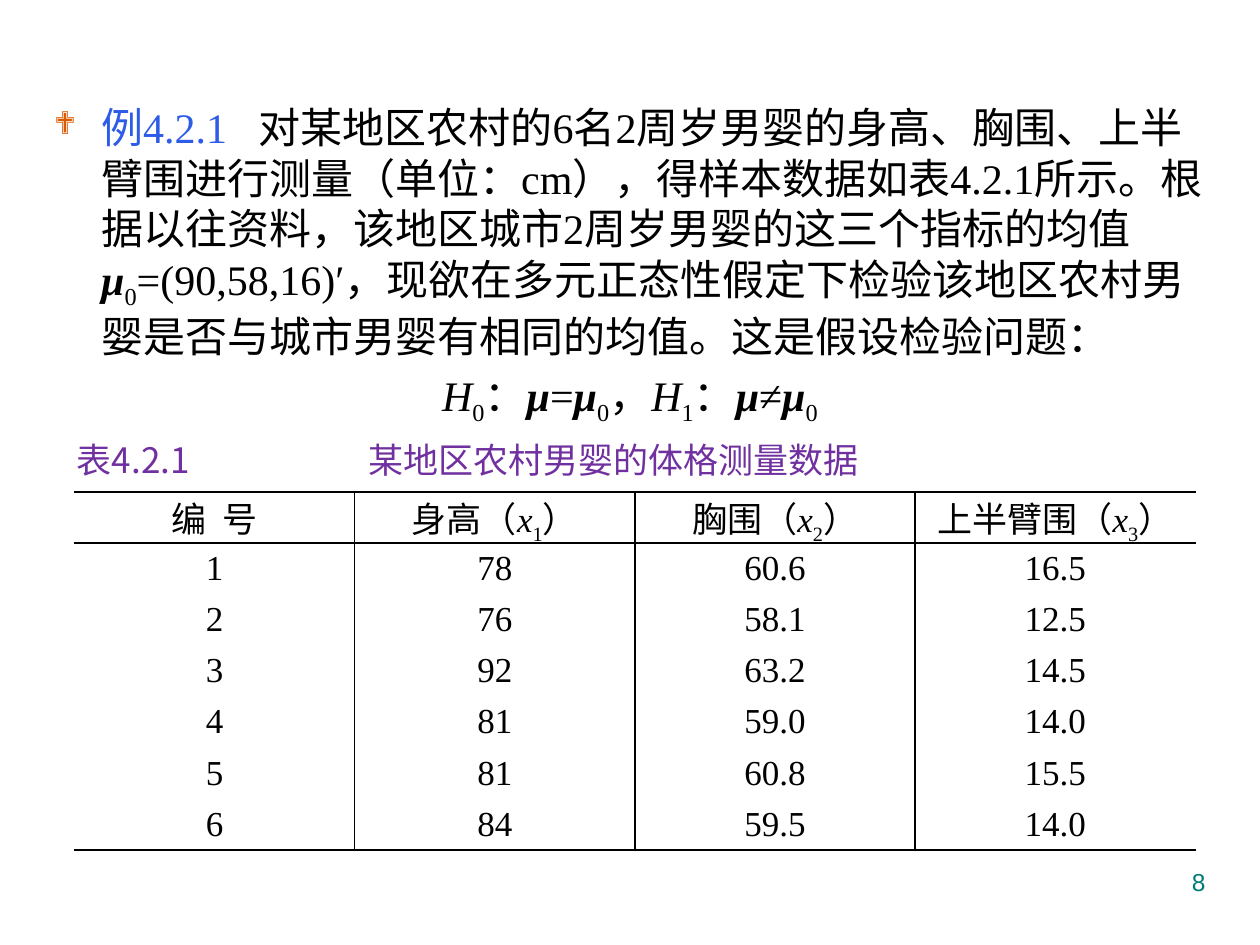
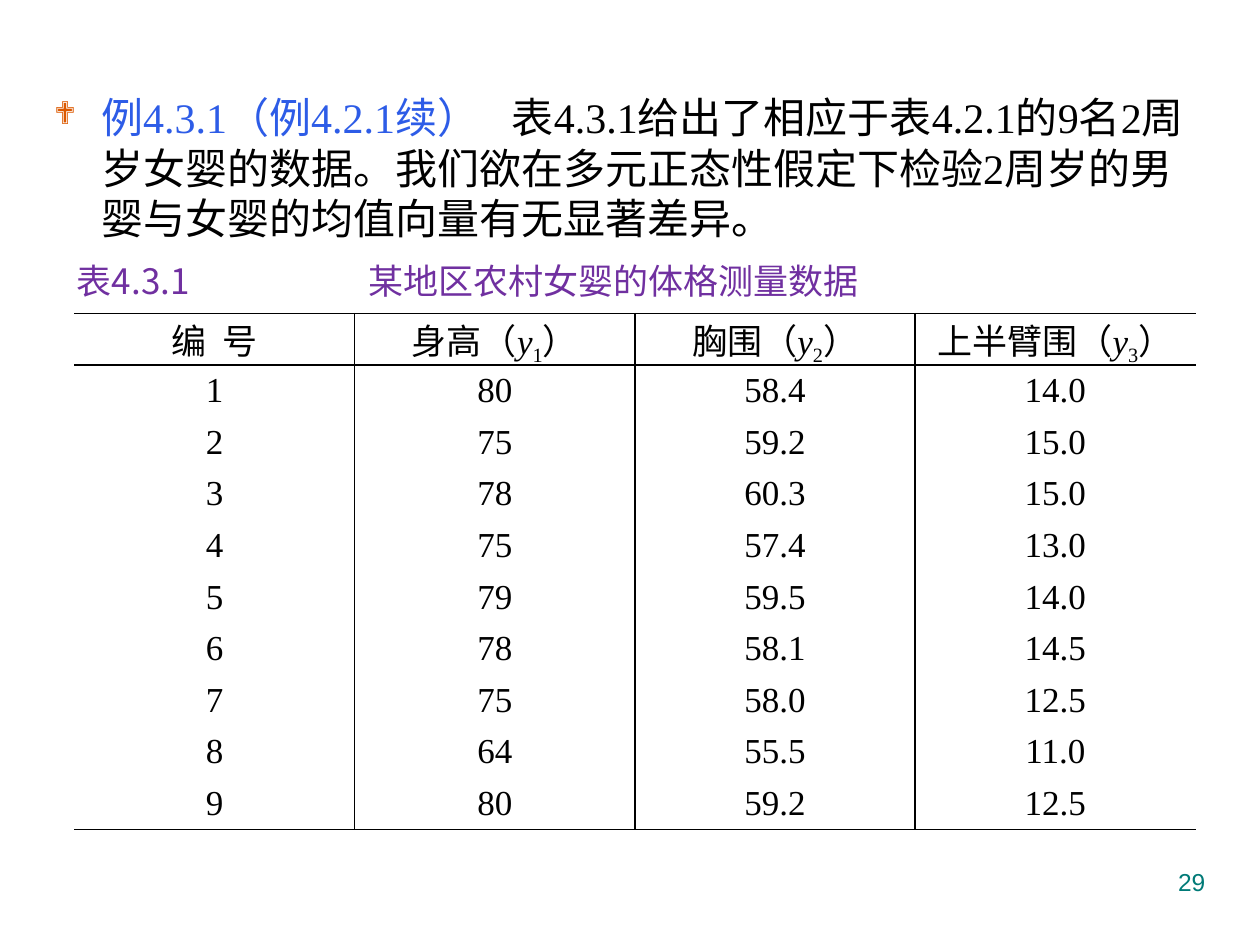
"""Build two slides that pair a worked statistics example with its data table."""
import pptx
import pptx.dml.color
import pptx.enum.text
import pptx.oxml
import pptx.oxml.ns
import pptx.util
from lxml import etree

Cm, Pt = pptx.util.Cm, pptx.util.Pt
qn = pptx.oxml.ns.qn
ALIGN = pptx.enum.text.PP_ALIGN
MIDDLE = pptx.enum.text.MSO_ANCHOR.MIDDLE
SERIF, SANS, ARIAL = "Times New Roman", "Noto Sans CJK SC", "Arial"
BLACK, BLUE, PURPLE, TEAL, ORANGE = "000000", "2D5CE7", "7030A0", "007A77", "DC5900"
NO_STYLE = "{2D5ABB26-0587-4C30-8999-92F81FD0307C}"
EXTRA_SPACING = {"lead gap": 12, "header gap": 5}


def rgb(color):
    return pptx.dml.color.RGBColor.from_string(color)


def write(p, parts, size, font=SERIF, east_asian=SANS, color=BLACK):
    for text, style in parts:
        r = p.add_run()
        r.text = text
        r.font.size = Pt(size)
        r.font.name = font
        r.font.color.rgb = rgb(BLUE if style == "lead" else color)
        r.font.bold = style == "vector"
        r.font.italic = style in ("vector", "italic")
        rPr = r.font._element
        rPr.set("lang", "zh-CN")
        etree.SubElement(rPr, qn("a:ea")).set("typeface", east_asian)
        if style == "sub":
            rPr.set("baseline", "-25000")
        if style in EXTRA_SPACING:
            rPr.set("spc", str(EXTRA_SPACING[style] * 100))


slides = [
    dict(
        number="8", body_top=1.93, caption_top=8.71, table_top=9.92, row_height=1.03,
        paragraphs=[
            [("例4.2.1", "lead"), (" ", "lead gap"),
             ("对某地区农村的6名2周岁男婴的身高、胸围、上半臂围进行测量（单位：cm），得样本数据如表4.2.1所示。"
              "根据以往资料，该地区城市2周岁男婴的这三个指标的均值", ""),
             ("μ", "vector"), ("0", "sub"),
             ("=(90,58,16)′，现欲在多元正态性假定下检验该地区农村男婴是否与城市男婴有相同的均值。"
              "这是假设检验问题：", "")],
            [("H", "italic"), ("0", "sub"), ("：", ""), ("μ", "vector"), ("=", ""),
             ("μ", "vector"), ("0", "sub"), ("，", ""), ("H", "italic"), ("1", "sub"),
             ("：", ""), ("μ", "vector"), ("≠", ""), ("μ", "vector"), ("0", "sub")],
        ],
        caption="表4.2.1\t某地区农村男婴的体格测量数据", variable="x",
        data=[("78", "60.6", "16.5"), ("76", "58.1", "12.5"), ("92", "63.2", "14.5"),
              ("81", "59.0", "14.0"), ("81", "60.8", "15.5"), ("84", "59.5", "14.0")],
    ),
    dict(
        number="29", body_top=1.73, caption_top=5.1, table_top=6.32, row_height=1.04,
        paragraphs=[
            [("例4.3.1（例4.2.1续）", "lead"), (" ", "lead gap"),
             ("表4.3.1给出了相应于表4.2.1的9名2周岁女婴的数据。"
              "我们欲在多元正态性假定下检验2周岁的男婴与女婴的均值向量有无显著差异。", "")],
        ],
        caption="表4.3.1\t某地区农村女婴的体格测量数据", variable="y",
        data=[("80", "58.4", "14.0"), ("75", "59.2", "15.0"), ("78", "60.3", "15.0"),
              ("75", "57.4", "13.0"), ("79", "59.5", "14.0"), ("78", "58.1", "14.5"),
              ("75", "58.0", "12.5"), ("64", "55.5", "11.0"), ("80", "59.2", "12.5")],
    ),
]

prs = pptx.Presentation()
prs.slide_width, prs.slide_height = Cm(25.4), Cm(19.05)

for item in slides:
    s = prs.slides.add_slide(prs.slide_layouts[6])

    top = item["body_top"]
    tf = s.shapes.add_textbox(Cm(0.84), Cm(top), Cm(23.72), Cm(16.94 - top)).text_frame
    tf.word_wrap = True
    for i, parts in enumerate(item["paragraphs"]):
        p = tf.add_paragraph() if i else tf.paragraphs[0]
        p.space_before = Pt(4.8)
        pPr = p._p.get_or_add_pPr()
        pPr.set("marL", str(Cm(0.95)))
        pPr.set("indent", str(Cm(-0.95)))
        pPr.set("hangingPunct", "0")
        if i:
            p.alignment = ALIGN.CENTER
        else:
            color = etree.SubElement(pPr, qn("a:buClr"))
            etree.SubElement(color, qn("a:srgbClr")).set("val", ORANGE)
            etree.SubElement(pPr, qn("a:buSzPct")).set("val", "75000")
            bullet_font = etree.SubElement(pPr, qn("a:buFont"))
            bullet_font.set("typeface", "Wingdings")
            bullet_font.set("charset", "2")
            etree.SubElement(pPr, qn("a:buChar")).set("char", "❖")
        write(p, parts, 24, east_asian=ARIAL)

    tf = s.shapes.add_textbox(Cm(1.3), Cm(item["caption_top"]), Cm(17.04), Cm(1.12)).text_frame
    tf.word_wrap = True
    tf.vertical_anchor = MIDDLE
    p = tf.paragraphs[0]
    tabs = etree.SubElement(p._p.get_or_add_pPr(), qn("a:tabLst"))
    tab = etree.SubElement(tabs, qn("a:tab"))
    tab.set("pos", str(Cm(5.87)))
    tab.set("algn", "l")
    write(p, [(item["caption"], "")], 20, SANS, color=PURPLE)

    header = [[("编", ""), (" ", "header gap"), ("号", "")]]
    for i, name in enumerate(("身高", "胸围", "上半臂围"), 1):
        header.append([(name + "（", ""), (item["variable"], "italic"), (str(i), "sub"), ("）", "")])
    rows = [header]
    for i, values in enumerate(item["data"], 1):
        rows.append([[(text, "")] for text in (str(i), *values)])

    height = item["row_height"] * len(rows)
    tbl = s.shapes.add_table(len(rows), 4, Cm(1.5), Cm(item["table_top"]), Cm(22.6), Cm(height)).table
    tbl.first_row = tbl.horz_banding = False
    tbl._tbl.tblPr.find(qn("a:tableStyleId")).text = NO_STYLE
    for i, row in enumerate(rows):
        for j, parts in enumerate(row):
            cell = tbl.cell(i, j)
            cell.vertical_anchor = MIDDLE
            cell.margin_left = cell.margin_right = Cm(0.2)
            cell.margin_top = cell.margin_bottom = 0
            p = cell.text_frame.paragraphs[0]
            p.alignment = ALIGN.CENTER
            write(p, parts, 20)
            edges = {"a:lnL": j > 0, "a:lnR": j < 3, "a:lnT": i < 2, "a:lnB": i in (0, len(rows) - 1)}
            tcPr = cell._tc.get_or_add_tcPr()
            for tag, drawn in edges.items():
                ln = etree.SubElement(tcPr, qn(tag))
                ln.set("w", str(Pt(1)))
                fill = etree.SubElement(ln, qn("a:solidFill" if drawn else "a:noFill"))
                if drawn:
                    etree.SubElement(fill, qn("a:srgbClr")).set("val", BLACK)
            cell.fill.background()

    tf = s.shapes.add_textbox(Cm(18.2), Cm(17.35), Cm(6.35), Cm(1.32)).text_frame
    tf.word_wrap = True
    p = tf.paragraphs[0]
    p.alignment = ALIGN.RIGHT
    write(p, [(item["number"], "")], 14, ARIAL, color=TEAL)

prs.save("out.pptx")
